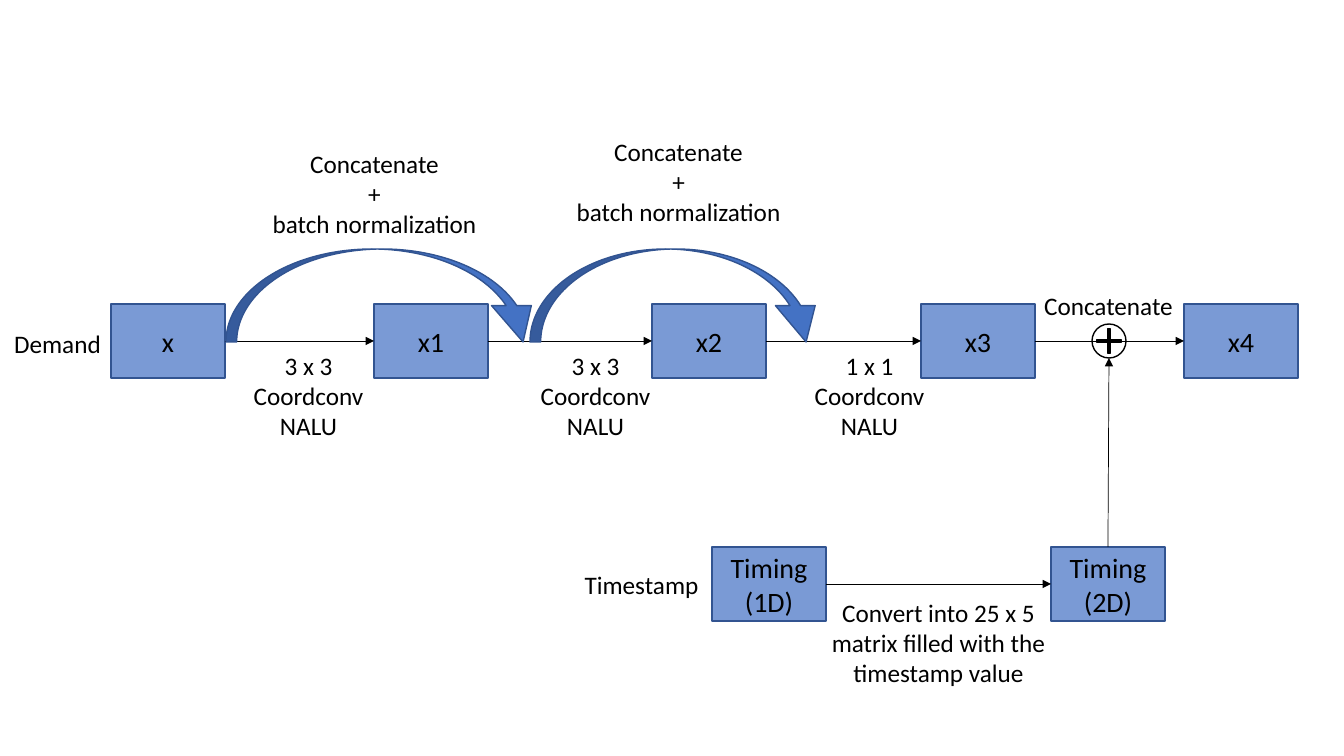
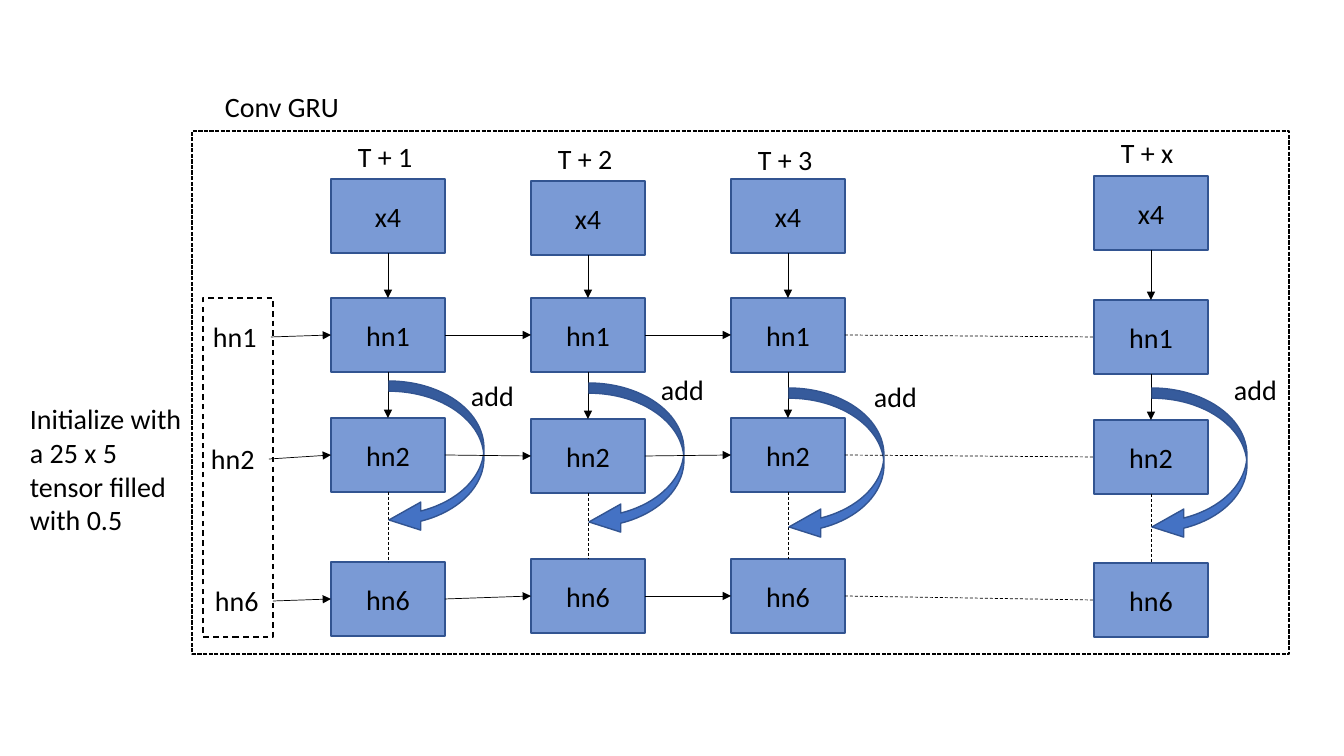
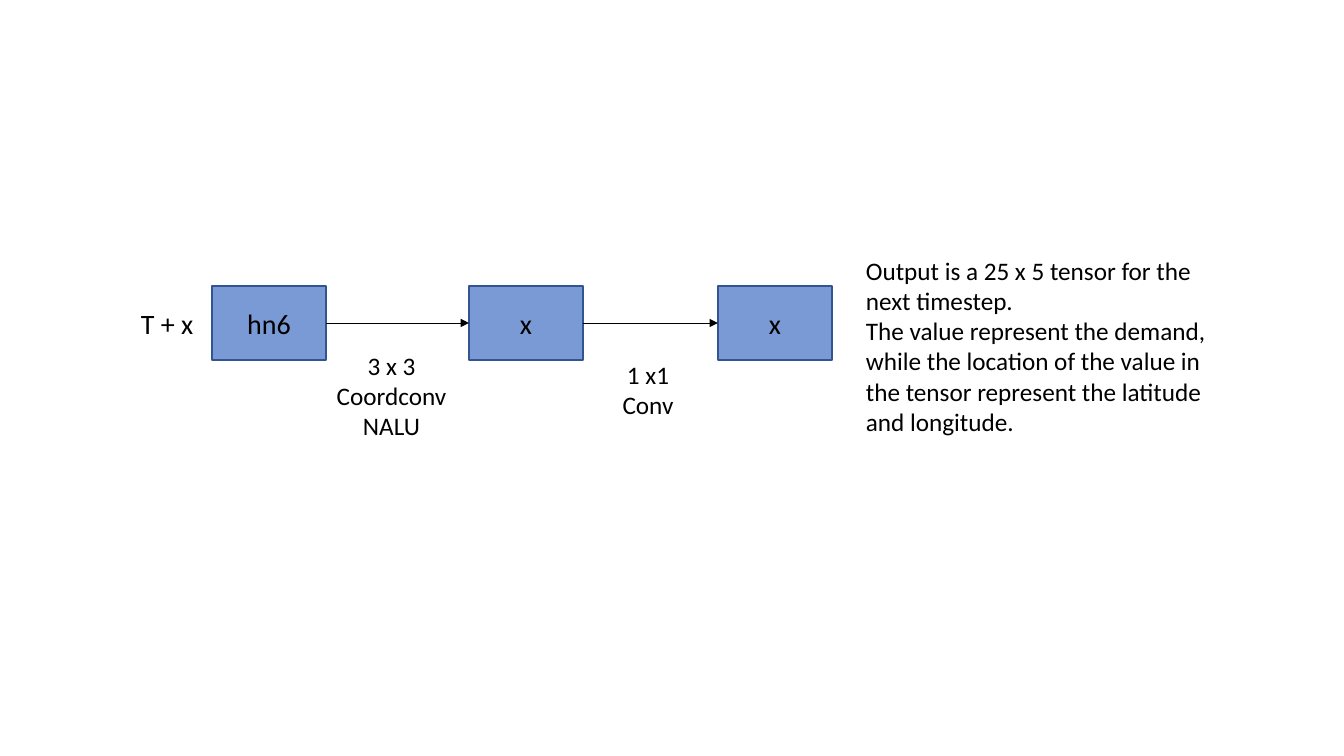
from dataclasses import dataclass

from pptx import Presentation
from pptx.dml.color import RGBColor
from pptx.enum.dml import MSO_LINE
from pptx.enum.shapes import MSO_CONNECTOR, MSO_SHAPE
from pptx.enum.text import MSO_ANCHOR, MSO_AUTO_SIZE, PP_ALIGN
from pptx.oxml.ns import qn
from pptx.util import Emu, Pt
from lxml.etree import SubElement

PX = 914400 / 100.8
TOP, LEFT, BOTTOM, RIGHT = range(4)


@dataclass(frozen=True)
class Theme:
    """Colours, type sizes and line widths used on every slide."""
    font: str = "Calibri"
    ink: RGBColor = RGBColor.from_string("000000")
    blue: RGBColor = RGBColor.from_string("4472C4")
    edge: RGBColor = RGBColor.from_string("325491")
    box_alpha: int = 71
    body: int = 20
    small: int = 18
    thin: float = 0.5
    outline: float = 1
    box_w: int = 114
    box_h: int = 74


def px(*values):
    """Turn pixel lengths into EMU."""
    return [Emu(round(v * PX)) for v in values]


class Diagram:
    """Draws diagram elements on the current slide in one style."""

    def __init__(self, prs, theme):
        """Keep the presentation and its theme."""
        self.prs, self.theme, self.slide = prs, theme, None

    def new_slide(self):
        """Start a blank slide."""
        self.slide = self.prs.slides.add_slide(self.prs.slide_layouts[6])

    def set_text(self, tf, text, size, align):
        """Fill a text frame, one paragraph per line."""
        tf.word_wrap = True
        tf.text = text
        for p in tf.paragraphs:
            p.alignment = align
            p.font.name, p.font.size = self.theme.font, Pt(size)
            p.font.color.rgb = self.theme.ink

    def shape(self, kind, x, y, w, h, fill=None, edge=None, adj=()):
        """Add a preset shape without shadow."""
        sp = self.slide.shapes.add_shape(kind, *px(x, y, w, h))
        sp.shadow.inherit = False
        if fill is None:
            sp.fill.background()
        else:
            sp.fill.solid()
            sp.fill.fore_color.rgb = fill
        sp.line.color.rgb = edge or self.theme.ink
        sp.line.width = Pt(self.theme.outline)
        for i, value in enumerate(adj):
            sp.adjustments[i] = value
        return sp

    def box(self, x, y, text):
        """Add a translucent blue node with centred text."""
        t = self.theme
        sp = self.shape(MSO_SHAPE.RECTANGLE, x, y, t.box_w, t.box_h, t.blue, t.edge)
        colour = sp.element.spPr.find(qn("a:solidFill"))[0]
        SubElement(colour, qn("a:alpha")).set("val", str(t.box_alpha * 1000))
        sp.text_frame.vertical_anchor = MSO_ANCHOR.MIDDLE
        self.set_text(sp.text_frame, text, t.body, PP_ALIGN.CENTER)
        return sp

    def label(self, x, y, w, h, text, size=None, align=PP_ALIGN.LEFT):
        """Add a text box."""
        sp = self.slide.shapes.add_textbox(*px(x, y, w, h))
        self.set_text(sp.text_frame, text, size or self.theme.body, align)
        sp.text_frame.auto_size = MSO_AUTO_SIZE.SHAPE_TO_FIT_TEXT
        return sp

    def caption(self, x, y, w, h, text):
        """Add a small centred text box."""
        return self.label(x, y, w, h, text, self.theme.small, PP_ALIGN.CENTER)

    def curve(self, kind, x, y, w, h, adj):
        """Add a curved block arrow."""
        self.shape(kind, x, y, w, h, self.theme.blue, self.theme.edge, adj)

    def frame(self, x, y, w, h, dash):
        """Add an empty dashed rectangle."""
        self.shape(MSO_SHAPE.RECTANGLE, x, y, w, h).line.dash_style = dash

    def line(self, x1, y1, x2, y2, dashed=False):
        """Add a thin line: dashed, or solid with an arrowhead."""
        cxn = self.slide.shapes.add_connector(MSO_CONNECTOR.STRAIGHT, *px(x1, y1, x2, y2))
        cxn.line.color.rgb = self.theme.ink
        cxn.line.width = Pt(self.theme.thin)
        spPr = cxn.element.spPr
        if dashed:
            cxn.line.dash_style = MSO_LINE.DASH
        else:
            SubElement(spPr.find(qn("a:ln")), qn("a:tailEnd")).set("type", "triangle")
        SubElement(spPr, qn("a:effectLst"))
        return cxn

    def link(self, a, b, down=False, dashed=False):
        """Connect two shapes, rightwards or downwards."""
        cxn = self.line(0, 0, 0, 0, dashed)
        cxn.begin_connect(a, BOTTOM if down else RIGHT)
        cxn.end_connect(b, TOP if down else LEFT)


def input_slide(d):
    """Draw how demand and timestamp become x4."""
    d.new_slide()
    nodes = [d.box(x, 304, text) for x, text in
             [(111, "x"), (374, "x1"), (652, "x2"), (921, "x3"), (1184, "x4")]]
    for a, b in zip(nodes, nodes[1:]):
        d.link(a, b)
    for x, w, text_x, text_y in [(226, 317, 234, 143), (530, 296, 538, 131)]:
        d.curve(MSO_SHAPE.CURVED_DOWN_ARROW, x, 249, w, 93, (0.115, 0.428, 0.391))
        d.caption(text_x, text_y, 281, 102, "Concatenate\n+\nbatch normalization")
    for x, kernel in [(238, "3 x 3"), (525, "3 x 3"), (799, "1 x 1")]:
        d.caption(x, 345, 141, 102, f"{kernel}\nCoordconv NALU")
    d.caption(-13, 323, 141, 40, "Demand")
    d.caption(571, 564, 141, 40, "Timestamp")

    flat, matrix = d.box(712, 547, "Timing\n(1D)"), d.box(1051, 547, "Timing\n(2D)")
    d.link(flat, matrix)
    d.caption(816, 592, 245, 102, "Convert into 25 x 5 matrix filled with the timestamp value")
    d.line(1108, 547, 1109, 358)
    d.shape(MSO_SHAPE.MATH_PLUS, 1092, 324, 34, 34, d.theme.ink, adj=(0.053,))
    d.shape(MSO_SHAPE.OVAL, 1092, 324, 34, 34)
    d.caption(1021, 285, 175, 40, "Concatenate")


def recurrent_slide(d):
    """Draw the recurrent grid, one column per time step."""
    d.new_slide()
    rows = ("x4", "hn1", "hn2", "hn6")
    # step, column left, step label top, box tops, curve top, "add" place
    columns = [
        ("T + 1", 331, 135, (179, 298, 418, 562), 381, (461, 374)),
        ("T + 2", 531, 137, (181, 298, 419, 559), 383, (651, 368)),
        ("T + 3", 731, 138, (179, 298, 418, 559), 388, (864, 375)),
        ("T + x", 1094, 131, (176, 300, 420, 563), 388, (1224, 368)),
    ]
    previous = [d.label(x, y, 68, 44, text) for x, y, text in
                [(203, 315, "hn1"), (201, 437, "hn2"), (205, 579, "hn6")]]
    for step, x, step_y, tops, curve_y, add_at in columns:
        d.label(x + 17, step_y, 81, 44, step)
        nodes = [d.box(x, y, text) for y, text in zip(tops, rows)]
        for a, b in zip(nodes, nodes[1:]):
            d.link(a, b, down=True, dashed=b is nodes[-1])
        for a, b in zip(previous, nodes[1:]):
            d.link(a, b, dashed=step == "T + x")
        d.curve(MSO_SHAPE.CURVED_LEFT_ARROW, x + 58, curve_y, 95, 153, (0.107, 0.295, 0.335))
        d.label(*add_at, 81, 44, "add")
        previous = nodes[1:]
    d.frame(203, 298, 70, 339, MSO_LINE.DASH)
    d.label(20, 397, 177, 146, "Initialize with a 25 x 5 tensor filled with 0.5")
    d.frame(192, 131, 1097, 523, MSO_LINE.SQUARE_DOT)
    d.label(215, 85, 153, 44, "Conv GRU")


def output_slide(d):
    """Draw how the last state becomes the output."""
    d.new_slide()
    nodes = [d.box(x, 286, text) for x, text in [(212, "hn6"), (469, "x"), (718, "x")]]
    for a, b in zip(nodes, nodes[1:]):
        d.link(a, b)
    d.label(131, 302, 81, 44, "T + x")
    d.caption(321, 345, 141, 102, "3 x 3\nCoordconv NALU")
    d.caption(591, 354, 114, 71, "1 x1 Conv")
    d.label(856, 250, 376, 192,
            "Output is a 25 x 5 tensor for the next timestep.\v"
            "The value represent the demand, while the location of the value "
            "in the tensor represent the latitude and longitude.", d.theme.small)


def main():
    """Build the three slides and save them."""
    prs = Presentation()
    prs.slide_width, prs.slide_height = px(1344, 756)
    d = Diagram(prs, Theme())
    for draw in (input_slide, recurrent_slide, output_slide):
        draw(d)
    prs.save("out.pptx")


main()
